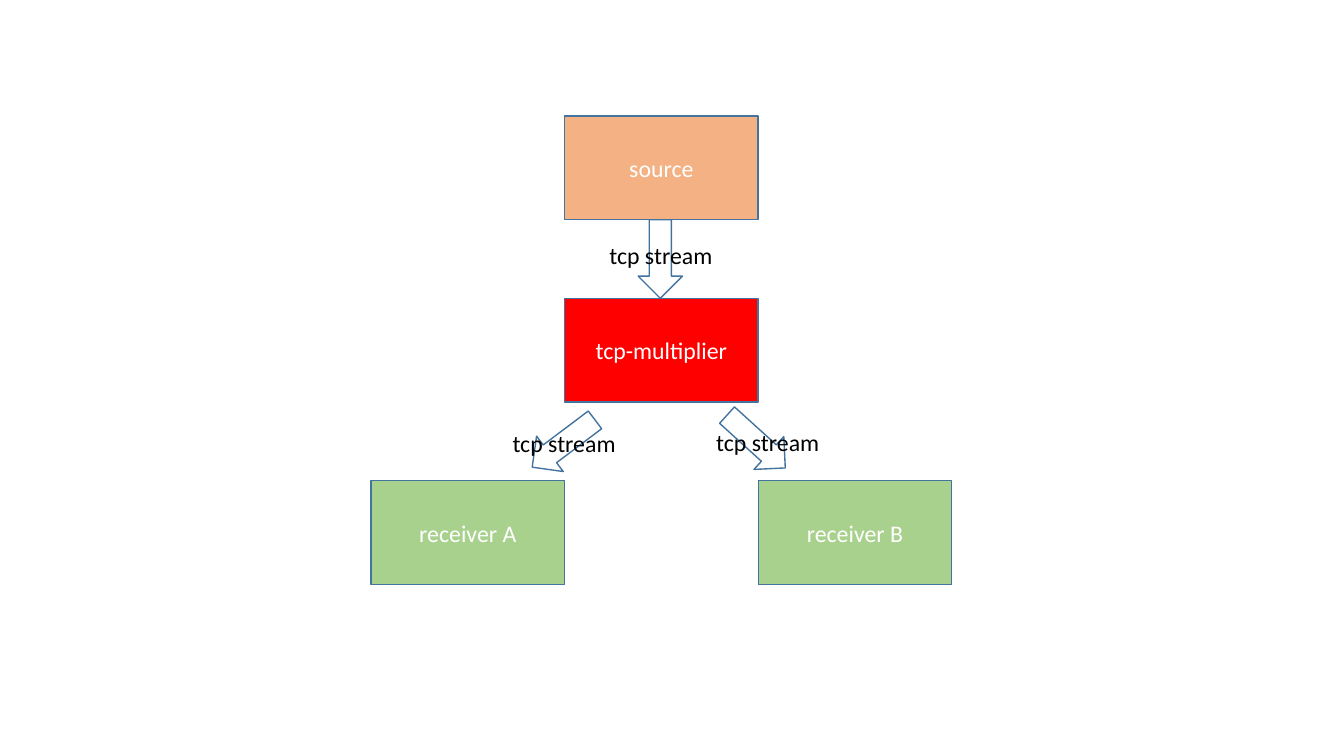
from pptx import Presentation
from pptx.dml.color import RGBColor
from pptx.enum.shapes import MSO_SHAPE
from pptx.enum.text import MSO_ANCHOR, PP_ALIGN
from pptx.util import Inches, Pt

RECT, DOWN_ARROW = MSO_SHAPE.RECTANGLE, MSO_SHAPE.DOWN_ARROW
MIDDLE, CENTER = MSO_ANCHOR.MIDDLE, PP_ALIGN.CENTER

WHITE = RGBColor(0xFF, 0xFF, 0xFF)
BLACK = RGBColor(0x00, 0x00, 0x00)
ORANGE = RGBColor(0xF4, 0xB1, 0x83)
RED = RGBColor(0xFF, 0x00, 0x00)
GREEN = RGBColor(0xA9, 0xD1, 0x8E)
OUTLINE = RGBColor(0x43, 0x73, 0x9E)

NODE_W, NODE_H = 1.92, 1.03
ROW_STEP = 1.81
ARROW_W, ARROW_H = 0.44, 0.78
LABEL_W, LABEL_H = 1.33, 0.39

# Text, column, row, fill
NODES = [
    ("source", 1, 0, ORANGE),
    ("tcp-multiplier", 1, 1, RED),
    ("receiver B", 2, 2, GREEN),
    ("receiver A", 0, 2, GREEN),
]
# Arrow offset, rotation, label offset; offsets are from the diagram's corner
STREAMS = [
    ((2.65, 1.03), 0, (2.21, 1.19)),
    ((1.69, 2.86), 53, (1.25, 3.05)),
    ((3.6, 2.84), 312.2, (3.27, 3.04)),
]


def write(tf, text, color):
    p = tf.paragraphs[0]
    p.alignment = CENTER
    r = p.add_run()
    r.text = text
    for name, value in {"name": "Calibri", "size": Pt(17)}.items():
        setattr(r.font, name, value)
    r.font.color.rgb = color


def add_outlined(slide, kind, x, y, w, h):
    sp = slide.shapes.add_shape(kind, Inches(x), Inches(y), Inches(w), Inches(h))
    sp.shadow.inherit = False
    sp.fill.background()
    sp.line.color.rgb = OUTLINE
    sp.line.width = Pt(1)
    return sp


def add_node(slide, x, y, text, fill):
    sp = add_outlined(slide, RECT, x, y, NODE_W, NODE_H)
    sp.fill.solid()
    sp.fill.fore_color.rgb = fill
    sp.text_frame.vertical_anchor = MIDDLE
    write(sp.text_frame, text, WHITE)


def add_label(slide, x, y, text):
    box = slide.shapes.add_textbox(Inches(x), Inches(y), Inches(LABEL_W), Inches(LABEL_H))
    box.text_frame.word_wrap = True
    write(box.text_frame, text, BLACK)


def add_stream_diagram(slide, left, top):
    # Nodes on a grid
    for text, col, row, fill in NODES:
        add_node(slide, left + col * NODE_W, top + row * ROW_STEP, text, fill)
    # Arrows between the nodes
    for (dx, dy), angle, _ in STREAMS:
        arrow = add_outlined(slide, DOWN_ARROW, left + dx, top + dy, ARROW_W, ARROW_H)
        arrow.rotation = angle
    # Labels over the arrows
    for _, _, (dx, dy) in STREAMS:
        add_label(slide, left + dx, top + dy, "tcp stream")


def main():
    prs = Presentation()
    prs.slide_width, prs.slide_height = Inches(13.33), Inches(7.5)
    slide = prs.slides.add_slide(prs.slide_layouts[6])
    add_stream_diagram(slide, 3.68, 1.15)
    prs.save("out.pptx")


if __name__ == "__main__":
    main()
